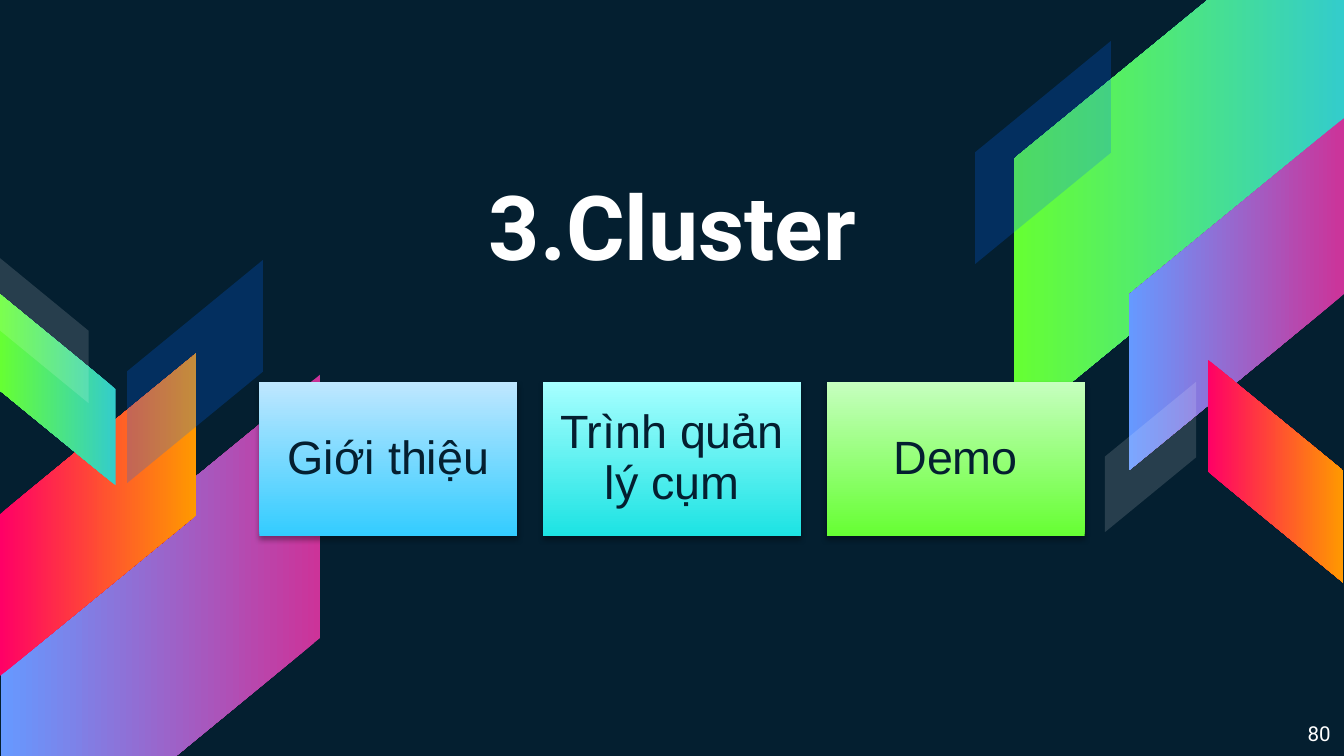
from lxml import etree
from pptx import Presentation
from pptx.dml.color import RGBColor
from pptx.enum.shapes import MSO_SHAPE
from pptx.enum.text import MSO_ANCHOR, PP_ALIGN
from pptx.oxml import parse_xml
from pptx.oxml.ns import qn
from pptx.util import Inches, Pt

BAND, RECT = MSO_SHAPE.PARALLELOGRAM, MSO_SHAPE.RECTANGLE
MID, RIGHT = PP_ALIGN.CENTER, PP_ALIGN.RIGHT
TOP, CENTER, BOTTOM = MSO_ANCHOR.TOP, MSO_ANCHOR.MIDDLE, MSO_ANCHOR.BOTTOM

THEME = {
    "back": "041F30", "white": "FFFFFF",
    "green": ("33CCCC", "66FF33"), "violet": ("CC3399", "6699FF"),
    "flame": ("FF0066", "FF9900"),
    "navy": ("0066FF", 23), "mist": ("FFFFFF", 14),
    "sky": ("33CCFF", "BFE7FF"), "aqua": ("1CE3E3", "A7FFFF"),
    "lime": ("66FF33", "C6FFBF"),
    "title": {"name": "Roboto", "size": Pt(48), "bold": True},
    "number": {"name": "Roboto", "size": Pt(11), "bold": False},
    "card": {"name": "Arial", "size": Pt(25), "bold": False},
}
SHADOW = (
    '<a:effectLst xmlns:a="http://schemas.openxmlformats.org/drawingml/2006/main">'
    '<a:outerShdw blurRad="39370" dist="22860" dir="5400000" rotWithShape="0">'
    '<a:srgbClr val="000000"><a:alpha val="35000"/></a:srgbClr>'
    '</a:outerShdw></a:effectLst>'
)


def blend(shape, pair, angle):
    shape.fill.gradient()
    shape.fill.gradient_angle = angle
    for place, (stop, tone) in enumerate(zip(shape.fill.gradient_stops, pair)):
        stop.color.rgb = RGBColor.from_string(tone)
        stop.position = place


def write(shape, text, style, color, align, anchor):
    frame = shape.text_frame
    form = {"word_wrap": True, "vertical_anchor": anchor}
    for side in ("left", "top", "right", "bottom"):
        form["margin_" + side] = Inches(0.1)
    for key, value in form.items():
        setattr(frame, key, value)
    frame.text = text
    para = frame.paragraphs[0]
    para.alignment = align
    font = para.runs[0].font
    for key, value in THEME[style].items():
        setattr(font, key, value)
    font.color.rgb = RGBColor.from_string(THEME[color])
    return para


# Widescreen slide, 16 to 9
deck = Presentation()
deck.slide_width = Inches(10)
deck.slide_height = Inches(10 * 9 / 16)
slide = deck.slides.add_slide(deck.slide_layouts[5])
slide.background.fill.solid()
slide.background.fill.fore_color.rgb = RGBColor.from_string(THEME["back"])

# Slanted bands in both corners: box, turn, flip, paint
bands = [
    ((6.76, -0.05, 4.03, 2.46), 90, True, "green"),
    ((-0.76, 3.55, 3.91, 2.38), 90, True, "violet"),
    ((-0.47, 3.1, 2.4, 1.46), 270, True, "flame"),
    ((0.62, 2.26, 1.66, 1.01), 270, True, "navy"),
    ((-0.28, 2.47, 1.42, 0.86), 90, False, "green"),
    ((-0.21, 2.13, 1.08, 0.66), 270, False, "mist"),
    ((7.89, 1.39, 2.62, 1.6), 90, True, "violet"),
    ((8.66, 3, 1.66, 1.01), 270, False, "flame"),
    ((8, 3.06, 1.12, 0.68), 270, True, "mist"),
    ((6.93, 0.63, 1.66, 1.01), 270, True, "navy"),
]
for box, turn, flip, paint in bands:
    band = slide.shapes.add_shape(BAND, *map(Inches, box))
    band.adjustments[0] = 0.82
    band.rotation = turn
    band.shadow.inherit = False
    band.line.fill.background()
    if flip:
        band.element.spPr.find(qn("a:xfrm")).set("flipH", "1")
    if paint in ("navy", "mist"):
        tone, alpha = THEME[paint]
        band.fill.solid()
        band.fill.fore_color.rgb = RGBColor.from_string(tone)
        color = band.element.spPr.find(".//" + qn("a:srgbClr"))
        etree.SubElement(color, qn("a:alpha")).set("val", str(alpha * 1000))
    else:
        blend(band, THEME[paint], 270)

# Title
title = slide.shapes.title
title.left, title.top, title.width, title.height = map(
    Inches, (2.9, 0.9, 4.21, 1.27))
write(title, "3.Cluster", "title", "white", MID, BOTTOM)

# Slide number
number = slide.shapes.add_textbox(*map(Inches, (9.36, 5.27, 0.64, 0.36)))
write(number, "80", "number", "white", RIGHT, TOP)

# Topic cards
cards = [("Giới thiệu", "sky"), ("Trình quản lý cụm", "aqua"), ("Demo", "lime")]
for i, (text, paint) in enumerate(cards):
    card = slide.shapes.add_shape(
        RECT, Inches(1.93 + 2.11 * i), Inches(2.84), Inches(1.92), Inches(1.15))
    blend(card, THEME[paint], 90)
    card.line.fill.background()
    card.element.spPr.append(parse_xml(SHADOW))
    para = write(card, text, "card", "back", MID, CENTER)
    para.line_spacing = 0.9

deck.save("out.pptx")
